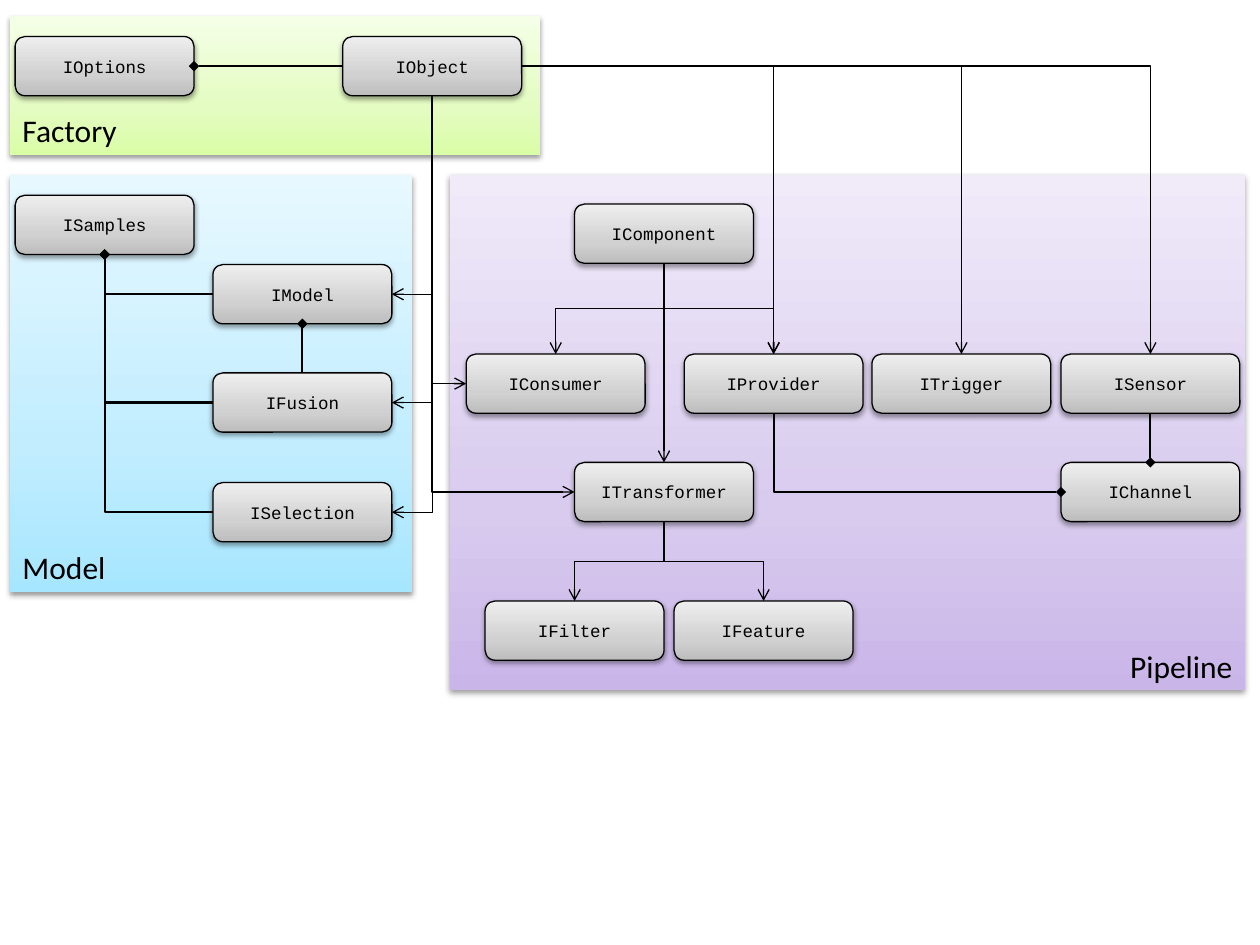
from lxml import etree
from pptx import Presentation
from pptx.dml.color import RGBColor
from pptx.enum.shapes import MSO_CONNECTOR, MSO_SHAPE
from pptx.enum.text import MSO_ANCHOR, PP_ALIGN
from pptx.oxml import parse_xml
from pptx.oxml.ns import nsdecls, qn
from pptx.util import Inches, Pt

RECT, ROUNDED = MSO_SHAPE.RECTANGLE, MSO_SHAPE.ROUNDED_RECTANGLE
STRAIGHT, ELBOW = MSO_CONNECTOR.STRAIGHT, MSO_CONNECTOR.ELBOW
LEFT, CENTER, RIGHT = PP_ALIGN.LEFT, PP_ALIGN.CENTER, PP_ALIGN.RIGHT
BOTTOM_ANCHOR, MIDDLE_ANCHOR = MSO_ANCHOR.BOTTOM, MSO_ANCHOR.MIDDLE
TOP_SIDE, LEFT_SIDE, BOTTOM_SIDE, RIGHT_SIDE = range(4)

THEME = {
    "ink": RGBColor(0, 0, 0),
    "panel_font": ("Calibri", Pt(18)),
    "box_font": ("Courier New", Pt(10)),
    "thin": Pt(0.75),
    "thick": Pt(1.25),
    # gradient colours from bottom to top
    "green": ("DAFDA7", "E4FCC2", "F5FFE7"),
    "purple": ("C9B5E8", "D8CBEE", "F0EAF9"),
    "blue": ("A7E6FF", "C1EDFF", "E7F8FF"),
    "grey": ("BDBDBD", "D1D1D1", "EEEEEE"),
}
GRADIENT_STOPS = (0, 35, 100)

# label, colour, alignment, (left, top, width, height)
PANELS = [
    ("Factory", "green", LEFT, (0.08, 0.13, 4.21, 1.1)),
    ("Pipeline", "purple", RIGHT, (3.57, 1.39, 6.31, 4.09)),
    ("Model", "blue", LEFT, (0.08, 1.39, 3.19, 3.31)),
]

BOX_W, BOX_H = 1.42, 0.47
# top of a row: boxes as (name, left)
ROWS = {
    0.29: [("IOptions", 0.12), ("IObject", 2.72)],
    1.55: [("ISamples", 0.12)],
    1.62: [("IComponent", 4.56)],
    2.1: [("IModel", 1.69)],
    2.81: [("IConsumer", 3.7), ("IProvider", 5.43),
           ("ITrigger", 6.92), ("ISensor", 8.42)],
    2.96: [("IFusion", 1.69)],
    3.67: [("ITransformer", 4.56), ("IChannel", 8.42)],
    3.83: [("ISelection", 1.69)],
    4.77: [("IFilter", 3.85), ("IFeature", 5.35)],
}

# source, side it leaves from, side it arrives at, targets
INHERITANCE = [
    ("IComponent", BOTTOM_SIDE, TOP_SIDE,
     ["IConsumer", "IProvider", "ITransformer"]),
    ("ITransformer", BOTTOM_SIDE, TOP_SIDE, ["IFilter", "IFeature"]),
    ("IObject", RIGHT_SIDE, TOP_SIDE, ["IProvider", "ITrigger", "ISensor"]),
    ("IObject", BOTTOM_SIDE, LEFT_SIDE, ["ITransformer", "IConsumer"]),
    ("IObject", BOTTOM_SIDE, RIGHT_SIDE, ["IModel", "IFusion", "ISelection"]),
]
# part, side it leaves from, side it arrives at, owner
AGGREGATION = [
    ("ISensor", BOTTOM_SIDE, TOP_SIDE, "IChannel"),
    ("IObject", LEFT_SIDE, RIGHT_SIDE, "IOptions"),
    ("IFusion", TOP_SIDE, BOTTOM_SIDE, "IModel"),
    ("IModel", LEFT_SIDE, BOTTOM_SIDE, "ISamples"),
    ("IFusion", LEFT_SIDE, BOTTOM_SIDE, "ISamples"),
    ("ISelection", LEFT_SIDE, BOTTOM_SIDE, "ISamples"),
    ("IProvider", BOTTOM_SIDE, LEFT_SIDE, "IChannel"),
]


def set_gradient(sp, colors):
    stops = "".join(
        f'<a:gs pos="{pos * 1000}"><a:srgbClr val="{color}"/></a:gs>'
        for pos, color in zip(GRADIENT_STOPS, colors))
    fill = parse_xml(
        f'<a:gradFill {nsdecls("a")} rotWithShape="1"><a:gsLst>{stops}</a:gsLst>'
        '<a:lin ang="16200000" scaled="0"/></a:gradFill>')
    sp._element.spPr.find(qn("a:prstGeom")).addnext(fill)


def set_shadow(sp):
    sp.shadow.inherit = False
    sp._element.spPr.find(qn("a:effectLst")).append(parse_xml(
        f'<a:outerShdw {nsdecls("a")} blurRad="{Pt(3.1)}" dist="{Pt(1.6)}" '
        'dir="5400000" rotWithShape="0"><a:srgbClr val="000000">'
        '<a:alpha val="38000"/></a:srgbClr></a:outerShdw>'))


def add_block(slide, kind, place, text, color, font, align, anchor):
    sp = slide.shapes.add_shape(kind, *map(Inches, place))
    set_gradient(sp, THEME[color])
    set_shadow(sp)
    tf = sp.text_frame
    tf.word_wrap = True
    tf.vertical_anchor = anchor
    tf.text = text
    p = tf.paragraphs[0]
    p.alignment = align
    f = p.runs[0].font
    f.name, f.size = THEME[font]
    f.color.rgb = THEME["ink"]
    return sp


def bend(c, start_side, end_side):
    """Turn an elbow so that it leaves and arrives square to the two sides."""
    x1, y1, x2, y2 = c.begin_x, c.begin_y, c.end_x, c.end_y
    w, h = abs(x2 - x1), abs(y2 - y1)
    spPr = c._element.spPr
    xfrm = spPr.xfrm
    xfrm.flipH = xfrm.flipV = False
    if start_side in (LEFT_SIDE, RIGHT_SIDE):
        xfrm.rot = 0 if x2 > x1 else 180
    else:
        w, h = h, w
        xfrm.rot = 270 if x2 > x1 else 90
        xfrm.flipH = x2 > x1
    c.left, c.top = (x1 + x2 - w) // 2, (y1 + y2 - h) // 2
    c.width, c.height = w, h
    if (start_side - end_side) % 2:
        spPr.find(qn("a:prstGeom")).set("prst", "bentConnector2")


def link(slide, start, start_side, end, end_side, width, head):
    c = slide.shapes.add_connector(STRAIGHT, 0, 0, 0, 0)
    c.begin_connect(start, start_side)
    c.end_connect(end, end_side)
    if c.begin_x != c.end_x and c.begin_y != c.end_y:
        c._element.spPr.find(qn("a:prstGeom")).set("prst", "bentConnector3")
        bend(c, start_side, end_side)
    c.line.width = width
    c.line.color.rgb = THEME["ink"]
    etree.SubElement(c.line._get_or_add_ln(), qn("a:tailEnd"), type=head)
    etree.SubElement(c._element.spPr, qn("a:effectLst"))


def main():
    prs = Presentation()
    prs.slide_width, prs.slide_height = Inches(10), Inches(7.5)
    slide = prs.slides.add_slide(prs.slide_layouts[6])

    for label, color, align, place in PANELS:
        sp = add_block(slide, RECT, place, label, color, "panel_font",
                       align, BOTTOM_ANCHOR)
        sp.line.fill.background()

    boxes = {}
    for top, row in ROWS.items():
        for name, left in row:
            sp = add_block(slide, ROUNDED, (left, top, BOX_W, BOX_H), name,
                           "grey", "box_font", CENTER, MIDDLE_ANCHOR)
            sp.line.width = THEME["thin"]
            sp.line.color.rgb = THEME["ink"]
            boxes[name] = sp

    for source, start_side, end_side, targets in INHERITANCE:
        for target in targets:
            link(slide, boxes[source], start_side, boxes[target], end_side,
                 THEME["thin"], "arrow")
    for part, start_side, end_side, owner in AGGREGATION:
        link(slide, boxes[part], start_side, boxes[owner], end_side,
             THEME["thick"], "diamond")

    prs.save("out.pptx")


if __name__ == "__main__":
    main()
